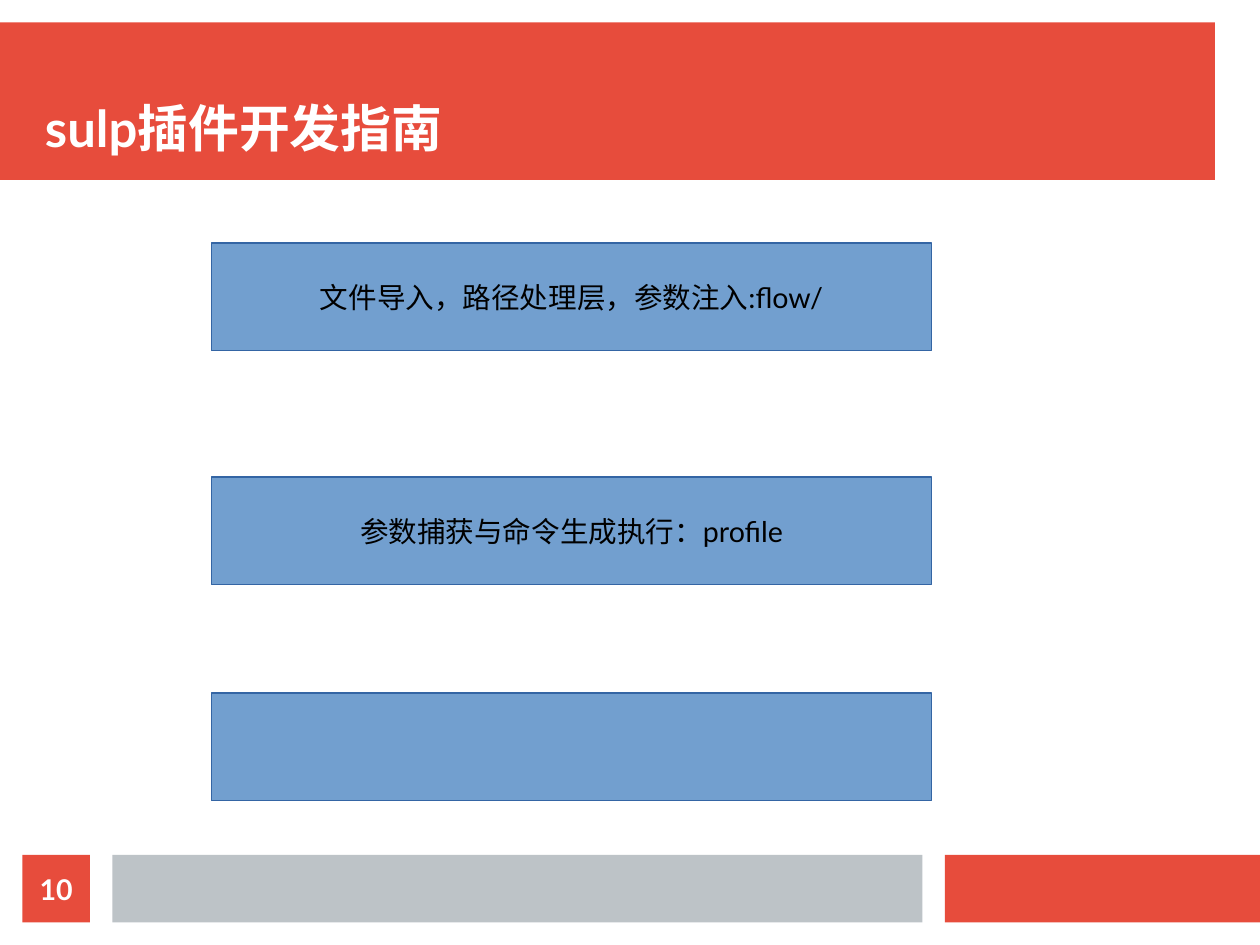
from dataclasses import dataclass

from pptx import Presentation
from pptx.dml.color import RGBColor
from pptx.enum.shapes import MSO_SHAPE
from pptx.enum.text import MSO_ANCHOR, MSO_AUTO_SIZE, PP_ALIGN
from pptx.slide import Slide
from pptx.text.text import TextFrame
from pptx.util import Inches, Pt

RECT = MSO_SHAPE.RECTANGLE
MIDDLE, BOTTOM = MSO_ANCHOR.MIDDLE, MSO_ANCHOR.BOTTOM
LEFT, CENTER = PP_ALIGN.LEFT, PP_ALIGN.CENTER
NO_FIT = MSO_AUTO_SIZE.NONE

COLORS = {
    "red": "E74C3C",
    "grey": "BDC3C7",
    "blue": "729FCF",
    "outline": "3465A4",
    "white": "FFFFFF",
    "black": "000000",
}
FONT = "Lato"
CM_PER_INCH = 2.54
SLIDE_WIDTH_CM, SLIDE_HEIGHT_CM = 28, 21
FOOTER_TOP_CM, FOOTER_HEIGHT_CM = 19, 1.5


@dataclass(frozen=True)
class Box:
    left_cm: float
    top_cm: float
    width_cm: float
    height_cm: float
    fill: str
    outline: str = ""
    text: str = ""
    text_color: str = "white"
    bold: bool = False
    margin_x: float = 0
    margin_y: float = 0
    wrap: bool = True


def layer(top_cm: float, text: str = "") -> Box:
    return Box(4.7, top_cm, 16, 2.4, "blue", "outline", text, "black",
               margin_x=0.1, margin_y=0.05, wrap=False)


def footer(left_cm: float, width_cm: float, fill: str, text: str = "") -> Box:
    return Box(left_cm, FOOTER_TOP_CM, width_cm, FOOTER_HEIGHT_CM, fill,
               text=text, bold=True)


BANNER = Box(0, 0.5, 27, 3.5, "red")
FOOTERS = [
    footer(21, 7, "red"),
    footer(2.5, 18, "grey"),
    footer(0.5, FOOTER_HEIGHT_CM, "red", "10"),
]
LAYERS = [
    layer(5.4, "文件导入，路径处理层，参数注入:flow/"),
    layer(10.6, "参数捕获与命令生成执行：profile"),
    layer(15.4),
]


def from_cm(length: float) -> Inches:
    return Inches(length / CM_PER_INCH)


def rgb(name: str) -> RGBColor:
    return RGBColor.from_string(COLORS[name])


def write(tf: TextFrame, text: str, size: int, color: str, bold: bool,
          align: PP_ALIGN, anchor: MSO_ANCHOR,
          margin_x: float = 0, margin_y: float = 0, wrap: bool = True) -> None:
    tf.auto_size = NO_FIT
    tf.word_wrap = wrap
    tf.vertical_anchor = anchor
    tf.margin_left = tf.margin_right = Inches(margin_x)
    tf.margin_top = tf.margin_bottom = Inches(margin_y)
    p = tf.paragraphs[0]
    p.alignment = align
    r = p.add_run()
    r.text = text
    r.font.name = FONT
    r.font.size = Pt(size)
    r.font.bold = bold
    r.font.color.rgb = rgb(color)


def draw_box(s: Slide, box: Box) -> None:
    sp = s.shapes.add_shape(RECT, from_cm(box.left_cm), from_cm(box.top_cm),
                            from_cm(box.width_cm), from_cm(box.height_cm))
    sp.shadow.inherit = False
    sp.fill.solid()
    sp.fill.fore_color.rgb = rgb(box.fill)
    if box.outline:
        sp.line.color.rgb = rgb(box.outline)
        sp.line.width = Pt(0)
    else:
        sp.line.fill.background()
    if box.text:
        write(sp.text_frame, box.text, 18, box.text_color, box.bold,
              CENTER, MIDDLE, box.margin_x, box.margin_y, box.wrap)


def draw_title(s: Slide, text: str) -> None:
    title = s.shapes.title
    title.left, title.top = from_cm(1), from_cm(1)
    title.width, title.height = from_cm(26), from_cm(2.5)
    write(title.text_frame, text, 32, "white", True, LEFT, BOTTOM)
    title.element.getparent().append(title.element)


def main() -> None:
    prs = Presentation()
    prs.slide_width = from_cm(SLIDE_WIDTH_CM)
    prs.slide_height = from_cm(SLIDE_HEIGHT_CM)
    s = prs.slides.add_slide(prs.slide_layouts[5])
    draw_box(s, BANNER)
    draw_title(s, "sulp插件开发指南")
    for box in LAYERS + FOOTERS:
        draw_box(s, box)
    prs.save("out.pptx")


if __name__ == "__main__":
    main()
